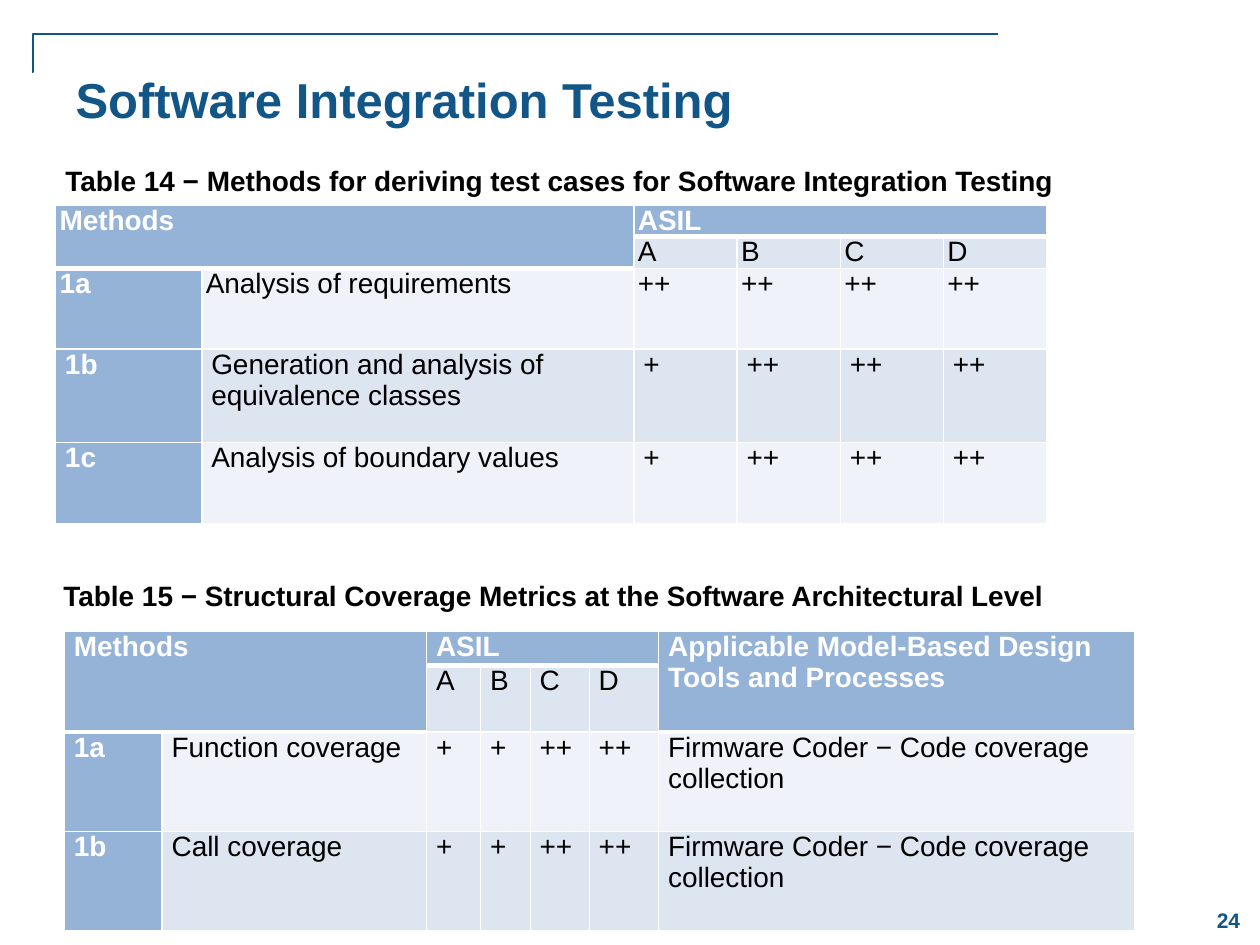
from dataclasses import dataclass
from lxml.etree import SubElement
from pptx import Presentation
from pptx.dml.color import RGBColor
from pptx.enum.shapes import MSO_CONNECTOR as Link
from pptx.enum.text import MSO_ANCHOR as Anchor, MSO_AUTO_SIZE as Fit, PP_ALIGN as Align
from pptx.oxml.ns import qn
from pptx.util import Cm, Pt

NAVY = RGBColor(0x12, 0x56, 0x87)
HEAD = RGBColor(0x95, 0xB3, 0xD7)
BAND = RGBColor(0xDD, 0xE5, 0xF0)
PALE = RGBColor(0xEF, 0xF2, 0xF8)
WHITE = RGBColor(0xFF, 0xFF, 0xFF)
BLACK = RGBColor(0, 0, 0)


@dataclass
class Grid:
    left: float
    top: float
    cols: list[float]
    rows: list[float]
    cells: list[list[str | None]]  # None marks a cell covered by a merge
    spans: list[tuple[int, int, int, int]]  # first row, first col, last row, last col
    pads: list[float]  # side inset of each row


@dataclass
class Label:
    text: str
    box: tuple[float, float, float, float]
    size: int = 16
    color: RGBColor = BLACK
    align: Align = Align.LEFT
    anchor: Anchor = Anchor.TOP
    fit: Fit = Fit.NONE


METHODS = Grid(
    1.12, 4.13, [2.95, 8.71] + [2.08] * 4, [0.64, 0.64, 1.63, 1.88, 1.63],
    [["Methods", None, "ASIL", None, None, None],
     [None, None, "A", "B", "C", "D"],
     ["1a", "Analysis of requirements", "++", "++", "++", "++"],
     ["1b", "Generation and analysis of equivalence classes", "+", "++", "++", "++"],
     ["1c", "Analysis of boundary values", "+", "++", "++", "++"]],
    [(0, 0, 1, 1), (0, 2, 0, 5)], [0.08] * 3 + [0.19] * 2)

TOOL = "Firmware Coder − Code coverage collection"
METRICS = Grid(
    1.3, 12.73, [1.97, 5.33, 1.09, 1, 1.19, 1.4, 9.6], [0.69, 1.34, 2, 2],
    [["Methods", None, "ASIL", None, None, None,
      "Applicable Model-Based Design Tools and Processes"],
     [None, None, "A", "B", "C", "D", None],
     ["1a", "Function coverage", "+", "+", "++", "++", TOOL],
     ["1b", "Call coverage", "+", "+", "++", "++", TOOL]],
    [(0, 0, 1, 1), (0, 2, 0, 5), (0, 6, 1, 6)], [0.19] * 4)

LABELS = [
    Label("Table 14 − Methods for deriving test cases for Software Integration Testing",
          (1.07, 3.18, 22.81, 0.94), fit=Fit.SHAPE_TO_FIT_TEXT),
    Label("Table 15 − Structural Coverage Metrics at the Software Architectural Level",
          (1.03, 11.53, 23.27, 0.94), fit=Fit.SHAPE_TO_FIT_TEXT),
    Label("24", (24.13, 18.01, 1.27, 1.07), 12, NAVY, Align.CENTER, Anchor.MIDDLE),
]
TITLE = Label("Software Integration Testing", (1.27, 1.27, 22.43, 2.74), 28, NAVY)


def style(para, size: int, color: RGBColor, bold: bool = True) -> None:
    for name, value in {"name": "Arial", "size": Pt(size), "bold": bold}.items():
        setattr(para.font, name, value)
    para.font.color.rgb = color


def write(shape, label: Label) -> None:
    for name, value in zip(("left", "top", "width", "height"), label.box):
        setattr(shape, name, Cm(value))
    frame = shape.text_frame
    frame.text = label.text
    look = {"word_wrap": True, "auto_size": label.fit, "vertical_anchor": label.anchor}
    for name, value in look.items():
        setattr(frame, name, value)
    para = frame.paragraphs[0]
    para.alignment = label.align
    style(para, label.size, label.color)


def edge(cell, base: int) -> None:
    """Give a cell white borders, the bottom one base points wide."""
    props = cell._tc.get_or_add_tcPr()
    for side, width in {"L": 1, "R": 1, "T": 1, "B": base}.items():
        line = SubElement(props, qn(f"a:ln{side}"), w=str(Pt(width)))
        SubElement(SubElement(line, qn("a:solidFill")), qn("a:srgbClr"), val=str(WHITE))


def draw_grid(slide, grid: Grid) -> None:
    frame = slide.shapes.add_table(
        len(grid.rows), len(grid.cols), Cm(grid.left), Cm(grid.top),
        Cm(sum(grid.cols)), Cm(sum(grid.rows)))
    table = frame.table
    table.first_row = table.horz_banding = False
    for col, width in zip(table.columns, grid.cols):
        col.width = Cm(width)
    for row, height in zip(table.rows, grid.rows):
        row.height = Cm(height)
    for r, texts in enumerate(grid.cells):
        for c, text in enumerate(texts):
            cell = table.cell(r, c)
            top = r == 0 or text is None
            head = top or (r > 1 and c == 0)
            edge(cell, 3 if top else 1)
            cell.fill.solid()
            cell.fill.fore_color.rgb = HEAD if head else BAND if r % 2 else PALE
            pads = {"left": grid.pads[r], "right": grid.pads[r], "top": 0, "bottom": 0}
            for side, pad in pads.items():
                setattr(cell, f"margin_{side}", Cm(pad))
            cell.text = text or ""
            style(cell.text_frame.paragraphs[0], 16, WHITE if head else BLACK, head)
    for r1, c1, r2, c2 in grid.spans:
        table.cell(r1, c1).merge(table.cell(r2, c2))


def draw_frame(slide) -> None:
    """Draw the bent rule around the top left corner."""
    rule = slide.shapes.add_connector(Link.ELBOW, Cm(20.12), Cm(0.69), Cm(0.64), Cm(1.45))
    rule.line.color.rgb = NAVY
    rule.line.width = Pt(1)
    props = rule._element.spPr
    bends = props.find(qn("a:prstGeom")).get_or_add_avLst()
    SubElement(bends, qn("a:gd"), name="adj1", fmla="val 99900")
    SubElement(props, qn("a:effectLst"))


def main() -> None:
    deck = Presentation()
    deck.slide_width, deck.slide_height = Cm(25.4), Cm(19.05)
    slide = deck.slides.add_slide(deck.slide_layouts[5])
    draw_frame(slide)
    write(slide.shapes.title, TITLE)
    for grid in (METHODS, METRICS):
        draw_grid(slide, grid)
    for label in LABELS:
        box = slide.shapes.add_textbox(*map(Cm, label.box))
        write(box, label)
    deck.save("out.pptx")


if __name__ == "__main__":
    main()
